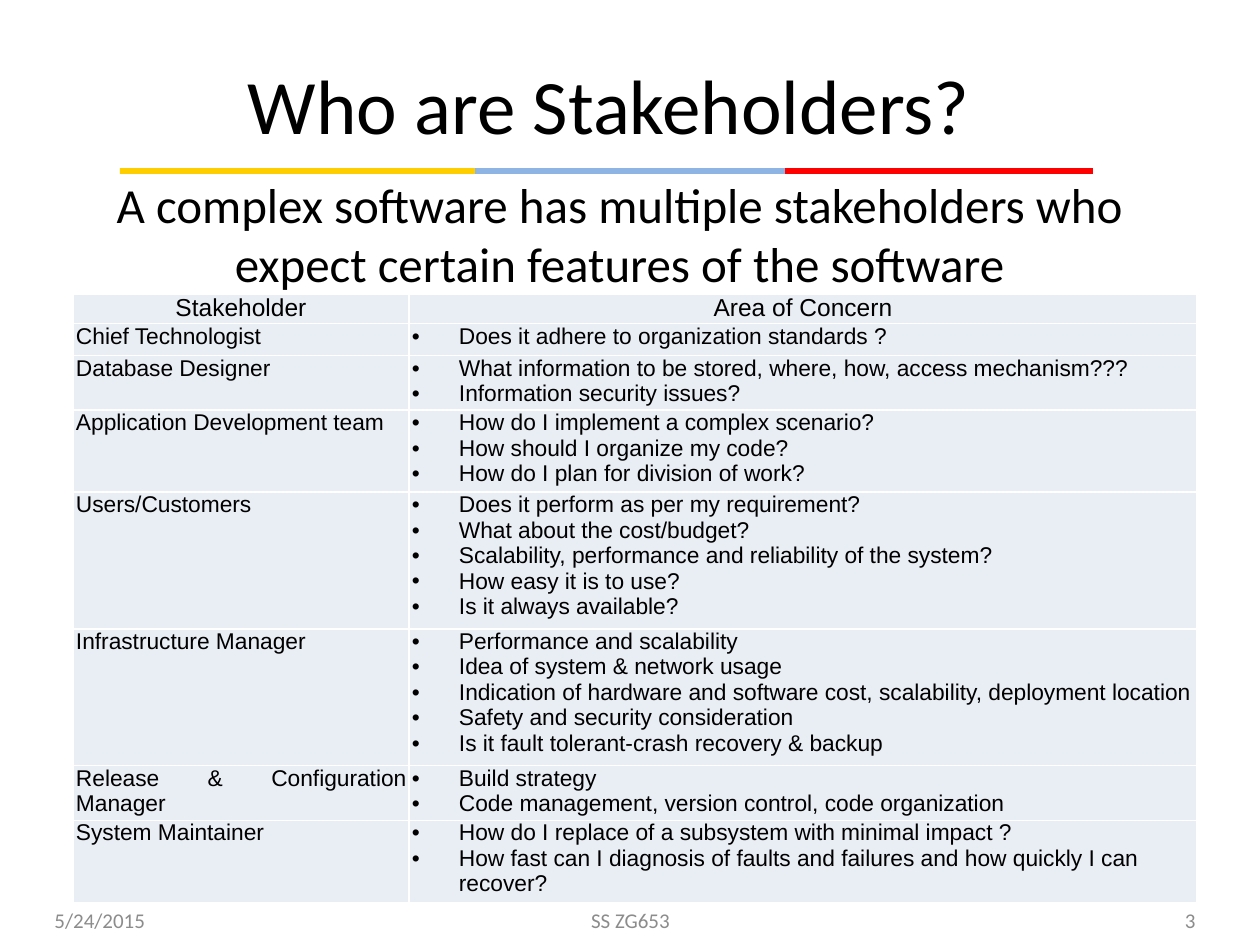
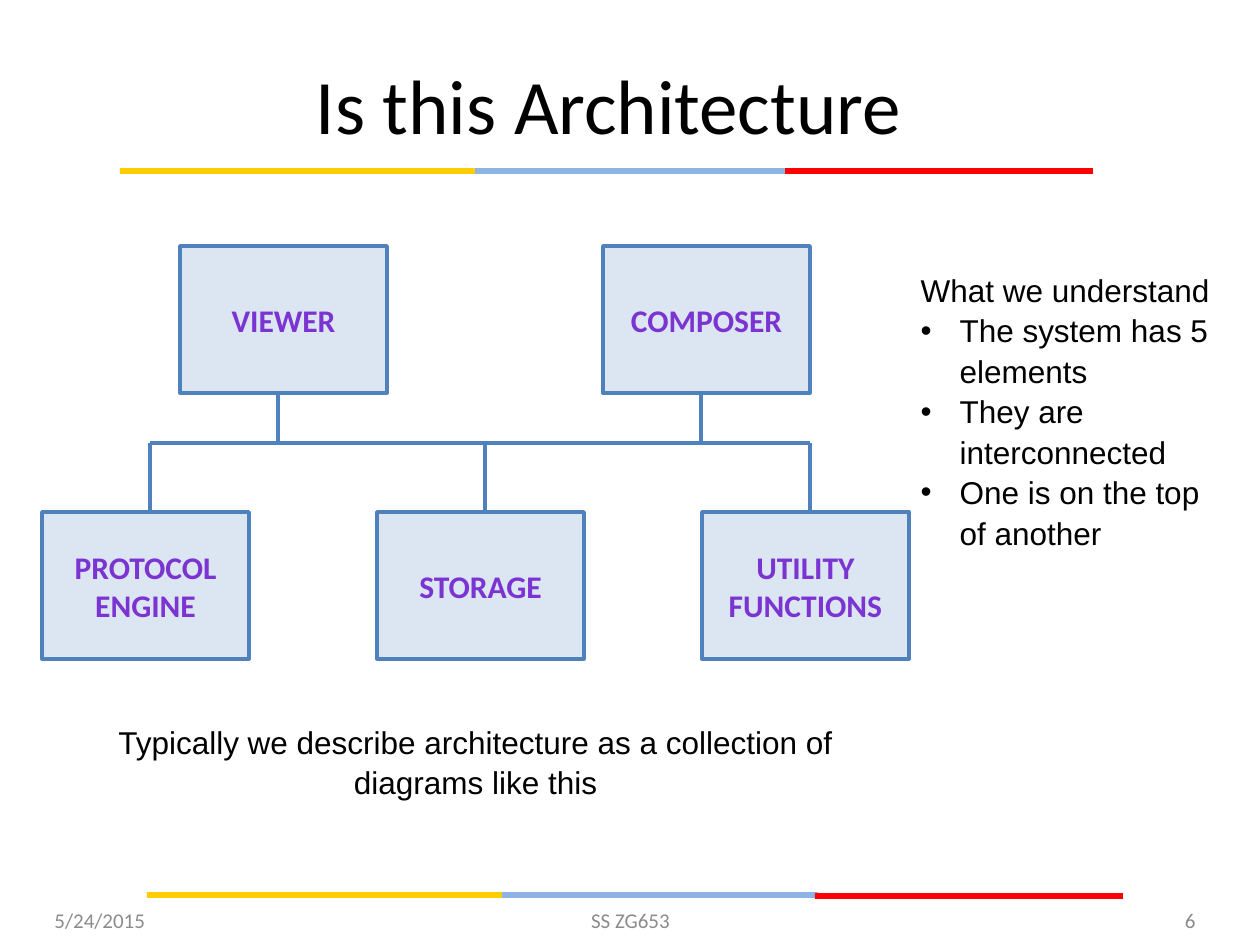
import pptx
import pptx.util
import pptx.dml.color
import pptx.enum.shapes
import pptx.enum.text
import pptx.oxml.ns
from lxml import etree

ALIGN = pptx.enum.text.PP_ALIGN
ANCHOR = pptx.enum.text.MSO_ANCHOR
EMU_PER_PX = 914400 / 126

COLORS = {
    "text": "000000", "footer": "8C8C8C",
    "yellow": "FFCE00", "blue": "8EB4E3", "red": "FF0000",
    "cell": "E9EDF4", "box": "DCE6F2", "line": "4F81BD", "label": "7B34D2",
}

# Band pieces: colour, left, width, drop; lefts count from the band's start
BAND = [("blue", 350, 321, 0), ("red", 665, 308, 0), ("yellow", 0, 355, 0)]
FOOTER_BAND = [("blue", 350, 321, 0), ("red", 668, 308, 1), ("yellow", 0, 355, 0)]

STAKEHOLDERS = [
    ("Chief Technologist", 32, ["Does it adhere to organization standards ?"]),
    ("Database Designer", 53, [
        "What information to be stored, where, how, access mechanism???",
        "Information security issues?"]),
    ("Application Development team", 77, [
        "How do I implement a complex scenario?",
        "How should I organize my code?",
        "How do I plan for division of work?"]),
    ("Users/Customers", 127, [
        "Does it perform as per my requirement?",
        "What about the cost/budget?",
        "Scalability, performance and reliability of the system?",
        "How easy it is to use?",
        "Is it always available?"]),
    ("Infrastructure Manager", 127, [
        "Performance and scalability",
        "Idea of system & network usage",
        "Indication of hardware and software cost, scalability, deployment location",
        "Safety and security consideration",
        "Is it fault tolerant-crash recovery & backup"]),
    ("Release & Configuration Manager", 50, [
        "Build strategy",
        "Code management, version control, code organization"]),
    ("System Maintainer", 76, [
        "How do I replace of a subsystem with minimal impact ?",
        "How fast can I diagnosis of faults and failures and how quickly I can recover?"]),
]

BOX_W, BOX_H = 207, 147
TOP_Y, BUS_Y, BOTTOM_Y = 246, 443, 512
TOP_BOXES = [("VIEWER", 180), ("COMPOSER", 603)]
BOTTOM_BOXES = [("PROTOCOL ENGINE", 42), ("STORAGE", 377), ("UTILITY FUNCTIONS", 702)]
TOP_STEMS = [278, 701]
BOTTOM_STEMS = [150, 485, 810]


def px(n):
    return pptx.util.Emu(round(n * EMU_PER_PX))


def rgb(name):
    return pptx.dml.color.RGBColor.from_string(COLORS[name])


def place(sp, x, y, w, h):
    sp.left, sp.top, sp.width, sp.height = px(x), px(y), px(w), px(h)


def format_paragraph(p, size, font="Arial", color="text", align=ALIGN.LEFT, bold=False):
    p.alignment = align
    for r in p.runs:
        r.font.size = pptx.util.Pt(size)
        r.font.name = font
        r.font.bold = bold
        r.font.color.rgb = rgb(color)


def set_bullet(p, indent):
    """Hang a bullet by indent px; zero means no bullet."""
    pPr = p._p.get_or_add_pPr()
    pPr.set("marL", str(px(indent)))
    pPr.set("indent", str(-px(indent)))
    if indent:
        font = etree.SubElement(pPr, pptx.oxml.ns.qn("a:buFont"))
        font.set("typeface", "Arial")
        etree.SubElement(pPr, pptx.oxml.ns.qn("a:buChar")).set("char", "•")
    else:
        etree.SubElement(pPr, pptx.oxml.ns.qn("a:buNone"))


def add_rect(slide, x, y, w, h, fill):
    sp = slide.shapes.add_shape(pptx.enum.shapes.MSO_SHAPE.RECTANGLE,
                                px(x), px(y), px(w), px(h))
    sp.shadow.inherit = False
    sp.fill.solid()
    sp.fill.fore_color.rgb = rgb(fill)
    sp.line.fill.background()
    return sp


def add_band(slide, x, y, pieces):
    for color, left, width, drop in pieces:
        add_rect(slide, x + left, y + drop, width, 6, color)


def add_text(slide, x, y, w, h, text, size, anchor=ANCHOR.TOP, **style):
    tf = slide.shapes.add_textbox(px(x), px(y), px(w), px(h)).text_frame
    tf.word_wrap = True
    tf.vertical_anchor = anchor
    tf.text = text
    format_paragraph(tf.paragraphs[0], size, **style)
    return tf


def add_slide(prs, title, number):
    """Start a slide with the shared title, bands and footers."""
    slide = prs.slides.add_slide(prs.slide_layouts[1])
    add_band(slide, 120, 168, BAND)
    add_band(slide, 147, 892, FOOTER_BAND)
    place(slide.shapes.title, 42, 39, 1134, 130)
    tf = slide.shapes.title.text_frame
    tf.text = title
    tf.vertical_anchor = ANCHOR.MIDDLE
    format_paragraph(tf.paragraphs[0], 44, "Calibri", align=ALIGN.CENTER)
    footers = [(42, 294, "5/24/2015", ALIGN.LEFT),
               (431, 399, "SS ZG653", ALIGN.CENTER),
               (914, 294, number, ALIGN.RIGHT)]
    for x, w, text, align in footers:
        add_text(slide, x, 895, w, 50, text, 12, ANCHOR.MIDDLE,
                 font="Calibri", color="footer", align=align)
    return slide


def fill_body(slide, x, y, w, h, lines):
    sp = slide.placeholders[1]
    place(sp, x, y, w, h)
    tf = sp.text_frame
    tf.text = "\n".join(lines)
    tf.auto_size = pptx.enum.text.MSO_AUTO_SIZE.NONE
    return tf.paragraphs


def fill_cell(cell, lines, size, align, indent=0):
    cell.fill.solid()
    cell.fill.fore_color.rgb = rgb("cell")
    cell.margin_left = cell.margin_right = px(3)
    cell.margin_top = cell.margin_bottom = 0
    cell.text_frame.text = "\n".join(lines)
    for p in cell.text_frame.paragraphs:
        format_paragraph(p, size, align=align)
        set_bullet(p, indent)


def add_stakeholder_table(slide, x, y, widths, header_height):
    heights = [header_height] + [height for _, height, _ in STAKEHOLDERS]
    table = slide.shapes.add_table(len(heights), len(widths), px(x), px(y),
                                   px(sum(widths)), px(sum(heights))).table
    table.first_row = table.horz_banding = False
    for column, width in zip(table.columns, widths):
        column.width = px(width)
    for row, height in zip(table.rows, heights):
        row.height = px(height)
    for i, heading in enumerate(["Stakeholder", "Area of Concern"]):
        fill_cell(table.cell(0, i), [heading], 14, ALIGN.CENTER)
    for i, (name, _, concerns) in enumerate(STAKEHOLDERS, 1):
        fill_cell(table.cell(i, 0), [name], 13, ALIGN.JUSTIFY)
        fill_cell(table.cell(i, 1), concerns, 13, ALIGN.LEFT, 47)


def add_component(slide, x, y, label):
    sp = add_rect(slide, x, y, BOX_W, BOX_H, "box")
    sp.line.color.rgb = rgb("line")
    sp.line.width = pptx.util.Pt(2)
    tf = sp.text_frame
    tf.word_wrap = True
    tf.vertical_anchor = ANCHOR.MIDDLE
    tf.text = label
    format_paragraph(tf.paragraphs[0], 18, "Calibri", "label", ALIGN.CENTER, True)


def add_line(slide, x1, y1, x2, y2):
    line = slide.shapes.add_connector(pptx.enum.shapes.MSO_CONNECTOR.STRAIGHT,
                                      px(x1), px(y1), px(x2), px(y2))
    line.line.color.rgb = rgb("line")
    line.line.width = pptx.util.Pt(2)
    etree.SubElement(line._element.spPr, pptx.oxml.ns.qn("a:effectLst"))


def build_stakeholders(prs):
    slide = add_slide(prs, "Who are Stakeholders?", "3")
    p = fill_body(slide, 42, 168, 1155, 168, [
        "A complex software has multiple stakeholders who expect certain "
        "features of the software"])[0]
    format_paragraph(p, 28, "Calibri", align=ALIGN.CENTER)
    set_bullet(p, 0)
    add_stakeholder_table(slide, 73, 294, [336, 788], 27)


def build_architecture(prs):
    slide = add_slide(prs, "Is this Architecture", "6")

    # Components and the lines that join them
    for y, boxes in [(TOP_Y, TOP_BOXES), (BOTTOM_Y, BOTTOM_BOXES)]:
        for label, x in boxes:
            add_component(slide, x, y, label)
    for x in TOP_STEMS:
        add_line(slide, x, TOP_Y + BOX_H, x, BUS_Y)
    for x in BOTTOM_STEMS:
        add_line(slide, x, BUS_Y, x, BOTTOM_Y)
    add_line(slide, BOTTOM_STEMS[0], BUS_Y, BOTTOM_STEMS[-1], BUS_Y)

    # Caption and reading of the diagram
    caption = add_text(slide, 42, 714, 867, 89,
                       "Typically we describe architecture as a collection of "
                       "diagrams like this", 18, align=ALIGN.CENTER)
    notes = fill_body(slide, 908, 262, 330, 394, [
        "What we understand", "The system has 5 elements",
        "They are interconnected", "One is on the top of another"])
    for i, p in enumerate(notes):
        format_paragraph(p, 18)
        p.space_before = pptx.util.Pt(0)
        set_bullet(p, 39 if i else 0)
    for p in [*caption.paragraphs, *notes]:
        p.line_spacing = 1.07


def main():
    prs = pptx.Presentation()
    prs.slide_width, prs.slide_height = px(1260), px(945)
    build_stakeholders(prs)
    build_architecture(prs)
    prs.save("out.pptx")


if __name__ == "__main__":
    main()
